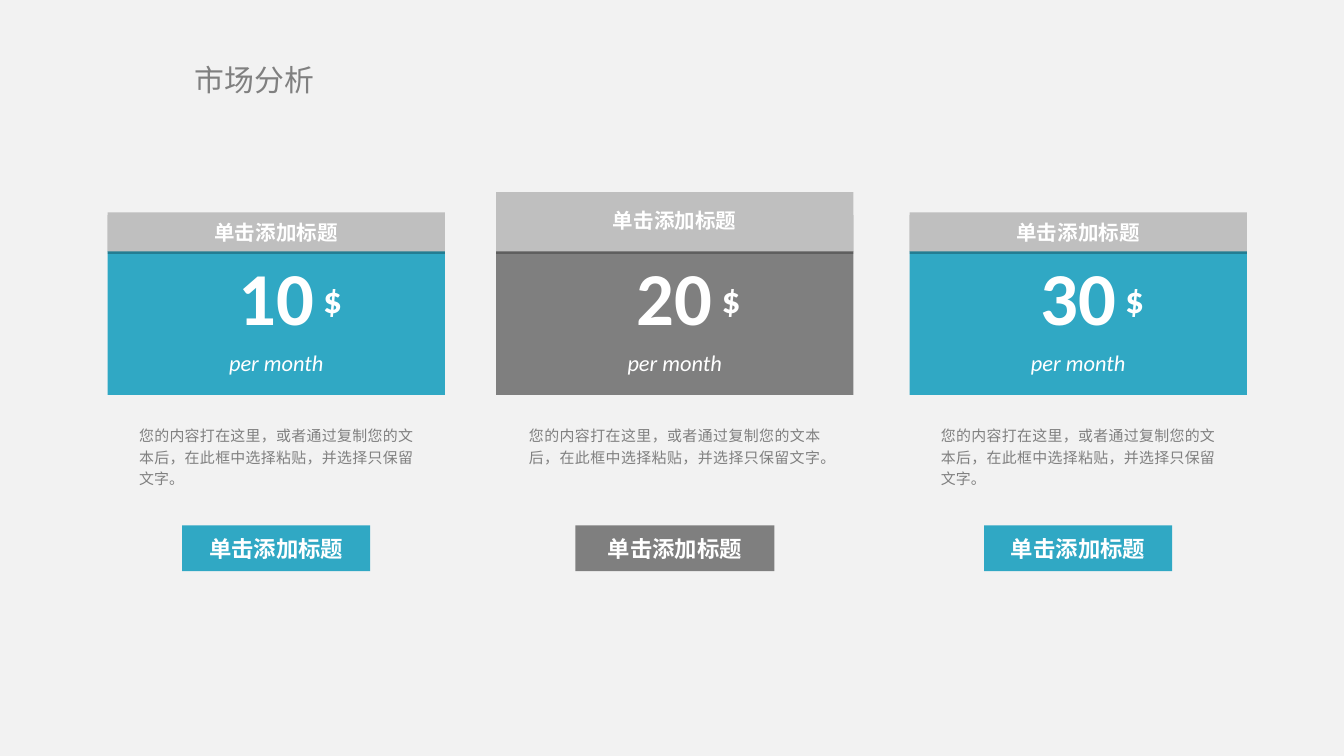
from lxml import etree
from pptx import Presentation
from pptx.dml.color import RGBColor
from pptx.enum.shapes import MSO_SHAPE
from pptx.enum.text import MSO_ANCHOR, PP_ALIGN
from pptx.oxml.ns import qn
from pptx.util import Pt

RECT = MSO_SHAPE.RECTANGLE
TOP, MIDDLE = MSO_ANCHOR.TOP, MSO_ANCHOR.MIDDLE
LEFT, CENTER, JUSTIFY = PP_ALIGN.LEFT, PP_ALIGN.CENTER, PP_ALIGN.JUSTIFY
CJK, LATIN = "Noto Sans CJK SC", "Calibri"
TEAL, GRAY, SILVER, WHITE, TEXT = "30A8C4", "7F7F7F", "BFBFBF", "FFFFFF", "808080"
HEADING = "单击添加标题"
DESCRIPTION = "您的内容打在这里，或者通过复制您的文本后，在此框中选择粘贴，并选择只保留文字。"


def write(shape, text, font, color, align=CENTER, wrap=True, anchor=TOP, **formats):
    frame = shape.text_frame
    margins = {"margin_left": Pt(5), "margin_right": Pt(5),
               "margin_top": Pt(2.7), "margin_bottom": Pt(2.7)}
    for name, value in margins.items():
        setattr(frame, name, value)
    frame.word_wrap = wrap
    frame.vertical_anchor = anchor
    paragraph = frame.paragraphs[0]
    paragraph.alignment = align
    run = paragraph.add_run()
    run.text = text
    run.font.name = font
    run.font.color.rgb = RGBColor.from_string(color)
    for name, value in formats.items():
        setattr(run.font, name, value)
    # Chinese characters take their font from a:ea
    etree.SubElement(run.font._element, qn("a:ea"), typeface=font)
    return paragraph


def add_block(left, top, width, height, color):
    block = slide.shapes.add_shape(RECT, Pt(left), Pt(top), Pt(width), Pt(height))
    block.shadow.inherit = False
    block.fill.solid()
    block.fill.fore_color.rgb = RGBColor.from_string(color)
    block.line.fill.background()
    return block


prs = Presentation()
prs.slide_width, prs.slide_height = Pt(720), Pt(405)
slide = prs.slides.add_slide(prs.slide_layouts[5])
slide.background.fill.solid()
slide.background.fill.fore_color.rgb = RGBColor.from_string("F2F2F2")

# Title
title = slide.shapes.title
title.left, title.top, title.width, title.height = Pt(99.4), Pt(30.2), Pt(141), Pt(24.5)
write(title, "市场分析", CJK, TEXT, align=LEFT, size=Pt(16))

side = {"color": TEAL, "width": 180.7, "header_top": 113.8, "heading_top": 115.2,
        "text_widths": (78, 52, 21, 62), "button": 100.8, "description": 157, "wrap": False}
middle = {"color": GRAY, "width": 191.5, "header_top": 103, "heading_top": 108.7,
          "text_widths": (78.5, 64, 24.5, 76.3), "button": 106.6, "description": 166.3,
          "wrap": True}

# Price plans, each laid out around its centre line
for center, price, plan in ((148, "10", side), (361.5, "20", middle), (577.6, "30", side)):
    color, width, header_top = plan["color"], plan["width"], plan["header_top"]
    left = center - width / 2

    # Price panel, header shade and header
    add_block(left, 134.6, width, 77, color)
    shade = add_block(left, 115.2, width, 20.9, "000000")
    shade_color = shade.fill._xPr.find(qn("a:solidFill"))[0]
    etree.SubElement(shade_color, qn("a:alpha"), val="25000")
    add_block(left, header_top, width, 134.7 - header_top, SILVER)

    # Heading, price, currency and period
    labels = (
        (HEADING, 0, plan["heading_top"], 18.7, CJK, {"size": Pt(11), "bold": True}),
        (price, 0, 131.8, 54, LATIN, {"size": Pt(40), "bold": True}),
        ("$", 30.2, 145.4, 29.5, LATIN, {"size": Pt(20), "bold": True}),
        ("per month", 0, 184.3, 20.2, LATIN, {"size": Pt(12), "italic": True}),
    )
    for (text, shift, top, height, font, formats), label_width in zip(labels, plan["text_widths"]):
        label = slide.shapes.add_textbox(Pt(center + shift - label_width / 2), Pt(top),
                                         Pt(label_width), Pt(height))
        write(label, text, font, WHITE, wrap=plan["wrap"], **formats)

    # Button
    button = add_block(center - plan["button"] / 2, 281.5, plan["button"], 24.5, color)
    write(button, HEADING, CJK, WHITE, anchor=MIDDLE, size=Pt(12), bold=True)

    # Description
    description = slide.shapes.add_textbox(Pt(center - plan["description"] / 2), Pt(224),
                                           Pt(plan["description"]), Pt(85.7))
    paragraph = write(description, DESCRIPTION, LATIN, TEXT, align=JUSTIFY, size=Pt(8))
    paragraph.line_spacing = 1.2
    paragraph.space_after = Pt(6)

prs.save("out.pptx")
